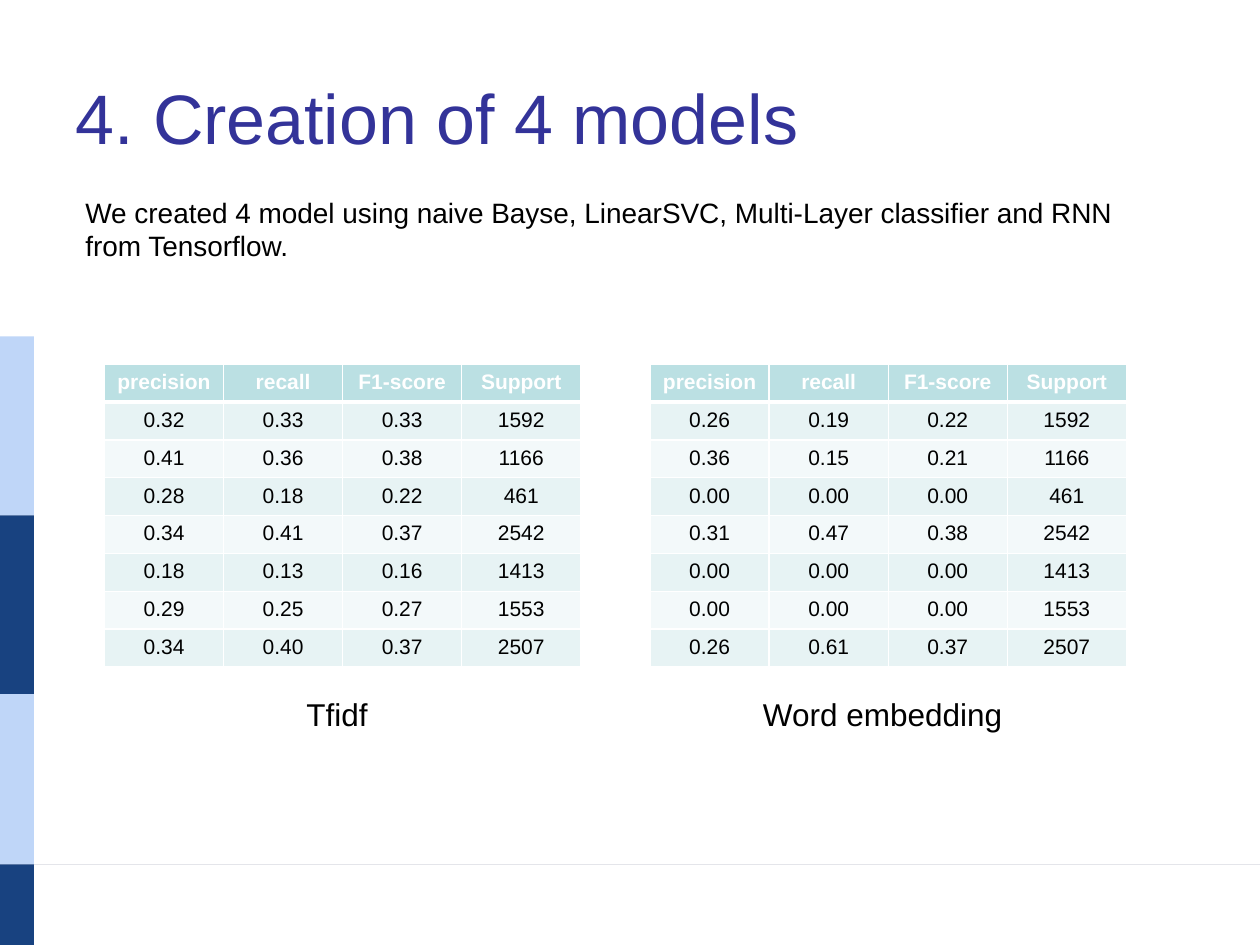
from lxml.etree import SubElement
from pptx import Presentation
from pptx.dml.color import RGBColor
from pptx.enum.shapes import MSO_CONNECTOR, MSO_SHAPE
from pptx.enum.text import MSO_ANCHOR, PP_ALIGN
from pptx.oxml.ns import qn
from pptx.util import Inches, Pt


def color(code):
    return RGBColor.from_string(code)


class Deck:
    """Draws styled elements on the current slide."""

    font = "Arial"
    white, black, navy = "FFFFFF", "000000", "333399"
    pale, deep, rule = "BFD6F8", "184280", "E4E5EA"
    head, bands = "BBE0E3", ("F3F9FA", "E7F3F4")

    def __init__(self, slide):
        self.shapes = slide.shapes

    def label(self, frame, text, size, ink, align=PP_ALIGN.LEFT, bold=False):
        para = frame.paragraphs[0]
        para.alignment = align
        run = para.add_run()
        run.text = text
        style = {"name": self.font, "size": Pt(size), "bold": bold}
        for key, value in style.items():
            setattr(run.font, key, value)
        run.font.color.rgb = color(ink)

    def text(self, box, text, size, ink=black, align=PP_ALIGN.LEFT, anchor=MSO_ANCHOR.TOP):
        frame = self.shapes.add_textbox(*map(Inches, box)).text_frame
        frame.word_wrap = True
        frame.vertical_anchor = anchor
        self.label(frame, text, size, ink, align)

    def bar(self, box, fill):
        shape = self.shapes.add_shape(MSO_SHAPE.RECTANGLE, *map(Inches, box))
        shape.shadow.inherit = False
        shape.fill.solid()
        shape.fill.fore_color.rgb = color(fill)
        shape.line.fill.background()

    def line(self, ends, ink, width):
        line = self.shapes.add_connector(MSO_CONNECTOR.STRAIGHT, *map(Inches, ends))
        line.line.color.rgb = color(ink)
        line.line.width = Pt(width)
        SubElement(line._element.spPr, qn("a:effectLst"))

    def border(self, cell, widths):
        props = cell._tc.get_or_add_tcPr()
        for side, width in widths.items():
            edge = SubElement(props, qn(f"a:ln{side}"), w=str(Pt(width)))
            fill = SubElement(edge, qn("a:solidFill"))
            SubElement(fill, qn("a:srgbClr"), val=self.white)

    def table(self, box, rows):
        left, top, width, height = map(Inches, box)
        grid = self.shapes.add_table(len(rows), len(rows[0]), left, top, width, height).table
        for r, row in enumerate(rows):
            first = r == 0
            widths = {"L": 1, "R": 1, "T": 3 if r == 1 else 1, "B": 3 if first else 1}
            for c, text in enumerate(row):
                cell = grid.cell(r, c)
                cell.margin_left = cell.margin_right = Inches(0.05)
                self.border(cell, widths)
                cell.fill.solid()
                cell.fill.fore_color.rgb = color(self.head if first else self.bands[r % 2])
                ink = self.white if first else self.black
                self.label(cell.text_frame, text, 12, ink, PP_ALIGN.CENTER, first)


show = Presentation()
show.slide_width, show.slide_height = Inches(10), Inches(7.5)
deck = Deck(show.slides.add_slide(show.slide_layouts[6]))

deck.line((0, 6.86, 10, 6.86), deck.rule, 0.5)
stops = (2.67, 4.09, 5.51, 6.86, 7.5)
for i, (top, end) in enumerate(zip(stops, stops[1:])):
    deck.bar((0, top, 0.27, end - top), (deck.pale, deck.deep)[i % 2])

deck.text((0.5, 0.3, 9, 1.25), "4. Creation of 4 models", 40, deck.navy, anchor=MSO_ANCHOR.MIDDLE)
deck.text((0.58, 1.5, 8.83, 0.64), "We created 4 model using naive Bayse, LinearSVC, "
          "Multi-Layer classifier and RNN from Tensorflow.", 16)

names = ("precision", "recall", "F1-score", "Support")
counts = (1592, 1166, 461, 2542, 1413, 1553, 2507)
models = {
    "Tfidf": ((0.32, 0.33, 0.33), (0.41, 0.36, 0.38), (0.28, 0.18, 0.22), (0.34, 0.41, 0.37),
              (0.18, 0.13, 0.16), (0.29, 0.25, 0.27), (0.34, 0.40, 0.37)),
    "Word embedding": ((0.26, 0.19, 0.22), (0.36, 0.15, 0.21), (0, 0, 0), (0.31, 0.47, 0.38),
                       (0, 0, 0), (0, 0, 0), (0.26, 0.61, 0.37)),
}
for i, (name, scores) in enumerate(models.items()):
    left = 0.83 + 4.33 * i
    rows = [[f"{x:.2f}" for x in score] + [str(n)] for score, n in zip(scores, counts)]
    deck.table((left, 2.89, 3.78, 2.4), [names, *rows])
    deck.text((left + 0.15, 5.47, 3.39, 0.4), name, 18, align=PP_ALIGN.CENTER)

show.save("out.pptx")
